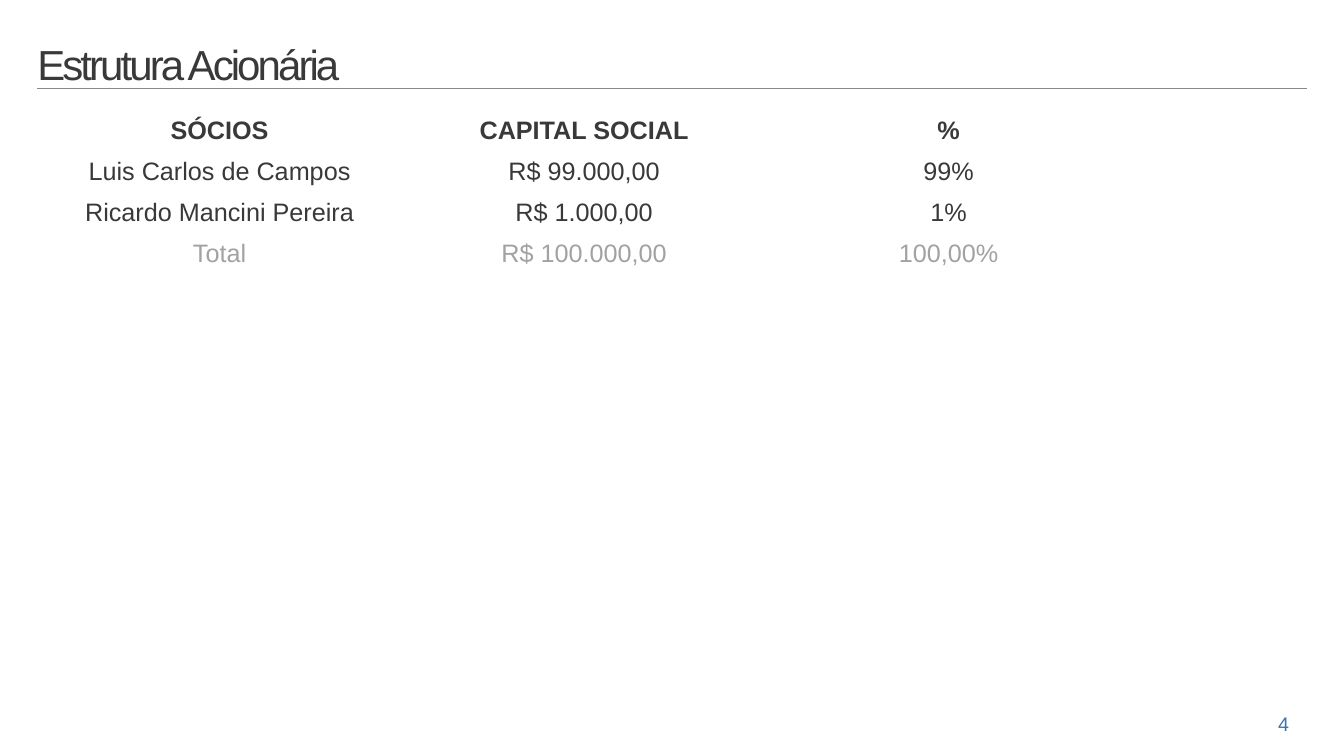
"""Build the shareholding structure slide with its table of partners."""
from dataclasses import dataclass

import lxml.etree
import pptx
import pptx.dml.color
import pptx.enum.shapes
import pptx.enum.text
import pptx.oxml.ns
import pptx.shapes.base
import pptx.slide
import pptx.text.text
import pptx.util


@dataclass(frozen=True)
class Theme:
    font: str = "Arial"
    dark: str = "393939"
    muted: str = "A2A2A2"
    accent: str = "3B72B8"
    rule: str = "888888"
    title_size: float = 30
    table_size: float = 18
    number_size: float = 14


@dataclass(frozen=True)
class Box:
    left: float
    top: float
    width: float
    height: float


@dataclass(frozen=True)
class TableRow:
    values: tuple[str, ...]
    color: str
    bold: bool = False


THEME = Theme()
MARGIN = 26.64
TITLE_BOX = Box(MARGIN, 8.64, 461.5, 54.72)
TABLE_BOX = Box(MARGIN, 79.92, 781.2, 116.8)
NUMBER_BOX = Box(897.84, 504.72, 38.16, 24.48)
RULE_TOP = 63.36
RULE_RIGHT = 933.84
ROWS = (
    TableRow(("SÓCIOS", "CAPITAL SOCIAL", "%"), THEME.dark, bold=True),
    TableRow(("Luis Carlos de Campos", "R$ 99.000,00", "99%"), THEME.dark),
    TableRow(("Ricardo Mancini Pereira", "R$ 1.000,00", "1%"), THEME.dark),
    TableRow(("Total", "R$ 100.000,00", "100,00%"), THEME.muted),
)


def place(shape: pptx.shapes.base.BaseShape, box: Box) -> None:
    shape.left, shape.top = pptx.util.Pt(box.left), pptx.util.Pt(box.top)
    shape.width, shape.height = pptx.util.Pt(box.width), pptx.util.Pt(box.height)


def write(
    frame: pptx.text.text.TextFrame,
    text: str,
    *,
    size: float,
    color: str,
    bold: bool = False,
    align: pptx.enum.text.PP_ALIGN = pptx.enum.text.PP_ALIGN.CENTER,
    line_spacing: float = 1.0,
    tracking: float = 0,
) -> None:
    paragraph = frame.paragraphs[0]
    paragraph.alignment = align
    paragraph.line_spacing = line_spacing
    run = paragraph.add_run()
    run.text = text
    run.font.name = THEME.font
    run.font.size = pptx.util.Pt(size)
    run.font.bold = bold
    run.font.color.rgb = pptx.dml.color.RGBColor.from_string(color)
    if tracking:
        run.font._element.set("spc", str(round(tracking * 100)))


def add_title(slide: pptx.slide.Slide) -> None:
    title = slide.shapes.title
    place(title, TITLE_BOX)
    frame = title.text_frame
    frame.auto_size = pptx.enum.text.MSO_AUTO_SIZE.NONE
    frame.word_wrap = True
    frame.vertical_anchor = pptx.enum.text.MSO_ANCHOR.BOTTOM
    frame.margin_left = frame.margin_right = frame.margin_bottom = 0
    frame.margin_top = pptx.util.Pt(5)
    write(frame, "Estrutura Acionária", size=THEME.title_size, color=THEME.dark,
          align=pptx.enum.text.PP_ALIGN.LEFT, line_spacing=0.85, tracking=-2.1)


def add_rule(slide: pptx.slide.Slide) -> None:
    rule = slide.shapes.add_connector(
        pptx.enum.shapes.MSO_CONNECTOR.STRAIGHT,
        pptx.util.Pt(MARGIN), pptx.util.Pt(RULE_TOP),
        pptx.util.Pt(RULE_RIGHT), pptx.util.Pt(RULE_TOP),
    )
    rule.line.color.rgb = pptx.dml.color.RGBColor.from_string(THEME.rule)
    rule.line.width = pptx.util.Pt(0.85)
    lxml.etree.SubElement(rule._element.spPr, pptx.oxml.ns.qn("a:effectLst"))


def add_partners(slide: pptx.slide.Slide) -> None:
    frame = slide.shapes.add_table(len(ROWS), len(ROWS[0].values), 0, 0, 0, 0)
    place(frame, TABLE_BOX)
    table = frame.table
    table.first_row = table.horz_banding = False
    for column in table.columns:
        column.width = pptx.util.Pt(TABLE_BOX.width / len(table.columns))
    for row, content in zip(table.rows, ROWS):
        row.height = pptx.util.Pt(TABLE_BOX.height / len(ROWS))
        for cell, value in zip(row.cells, content.values):
            cell.fill.background()
            write(cell.text_frame, value, size=THEME.table_size,
                  color=content.color, bold=content.bold)


def add_page_number(slide: pptx.slide.Slide) -> None:
    number = slide.shapes.add_textbox(0, 0, 0, 0)
    place(number, NUMBER_BOX)
    number.text_frame.word_wrap = True
    write(number.text_frame, "4", size=THEME.number_size, color=THEME.accent)


def main() -> None:
    presentation = pptx.Presentation()
    presentation.slide_width = pptx.util.Pt(960)
    presentation.slide_height = pptx.util.Pt(540)
    slide = presentation.slides.add_slide(presentation.slide_layouts[5])
    add_rule(slide)
    add_page_number(slide)
    add_title(slide)
    add_partners(slide)
    presentation.save("out.pptx")


if __name__ == "__main__":
    main()
